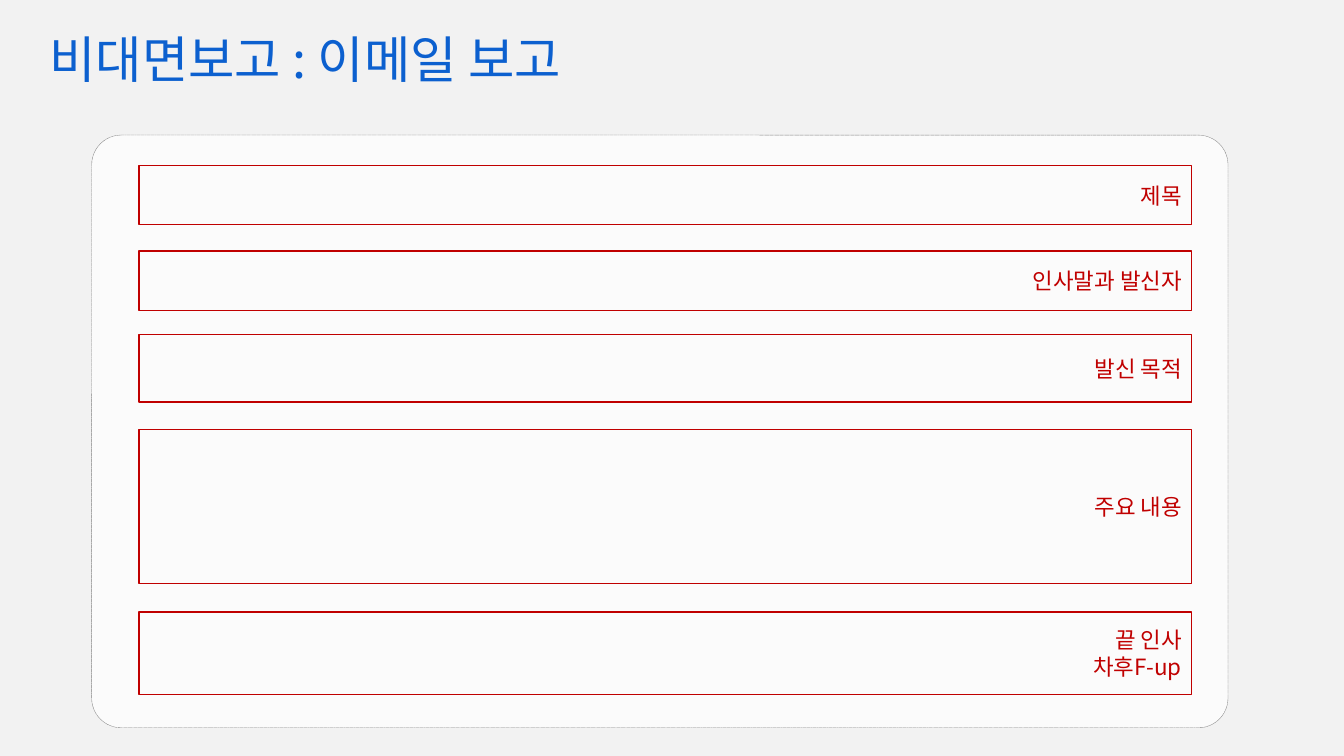
from pptx import Presentation
from pptx.dml.color import RGBColor
from pptx.enum.dml import MSO_LINE
from pptx.enum.shapes import MSO_SHAPE as Kind
from pptx.enum.text import MSO_ANCHOR as Anchor, PP_ALIGN as Align
from pptx.oxml.ns import qn
from pptx.util import Inches, Pt
from lxml.etree import SubElement

COLORS = {"back": "F2F2F2", "panel": "FFFFFF", "edge": "808080",
          "red": "C00000", "blue": "0C60CF"}
FONT = "Noto Sans CJK KR"


def paint(name):
    return RGBColor.from_string(COLORS[name])


def write(frame, text, size=16, color="red", align=Align.RIGHT, space=None):
    frame.word_wrap = True
    frame.vertical_anchor = Anchor.MIDDLE
    for i, line in enumerate(text.split("\n")):
        para = frame.add_paragraph() if i else frame.paragraphs[0]
        para.alignment = align
        if space:
            para.line_spacing = space
        run = para.add_run()
        run.text = line
        run.font.name = FONT
        run.font.size = Pt(size)
        run.font.color.rgb = paint(color)
        SubElement(run.font._element, qn("a:ea"), typeface=FONT)


class Page:
    def __init__(self, deck):
        self.slide = deck.slides.add_slide(deck.slide_layouts[6])
        self.slide.background.fill.solid()
        self.slide.background.fill.fore_color.rgb = paint("back")

    def shape(self, kind, area, color, width):
        item = self.slide.shapes.add_shape(kind, *map(Inches, area))
        item.shadow.inherit = False
        item.fill.background()
        item.line.color.rgb = paint(color)
        item.line.width = Pt(width)
        return item

    def panel(self, area):
        item = self.shape(Kind.ROUNDED_RECTANGLE, area, "edge", 0.25)
        item.adjustments[0] = 0.05
        item.line.dash_style = MSO_LINE.SQUARE_DOT
        item.fill.solid()
        item.fill.fore_color.rgb = paint("panel")
        tint = item._element.spPr.find(qn("a:solidFill"))[0]
        SubElement(tint, qn("a:alpha"), val="70000")

    def field(self, top, height, text):
        item = self.shape(Kind.RECTANGLE, (1.38, top, 10.44, height), "red", 1)
        write(item.text_frame, text)

    def title(self, area, text):
        item = self.slide.shapes.add_textbox(*map(Inches, area))
        write(item.text_frame, text, size=36, color="blue",
              align=Align.LEFT, space=0.9)


def main():
    deck = Presentation()
    deck.slide_width, deck.slide_height = Inches(13.33), Inches(7.5)
    page = Page(deck)
    page.panel((0.91, 1.34, 11.27, 5.88))
    fields = [
        (1.64, 0.59, "제목"),
        (2.49, 0.59, "인사말과 발신자"),
        (3.32, 0.67, "발신 목적"),
        (4.26, 1.53, "주요 내용"),
        (6.07, 0.82, "끝 인사\n차후F-up"),
    ]
    for top, height, text in fields:
        page.field(top, height, text)
    page.title((0.39, 0.36, 11.88, 0.52), "비대면보고 : 이메일 보고")
    deck.save("out.pptx")


if __name__ == "__main__":
    main()
